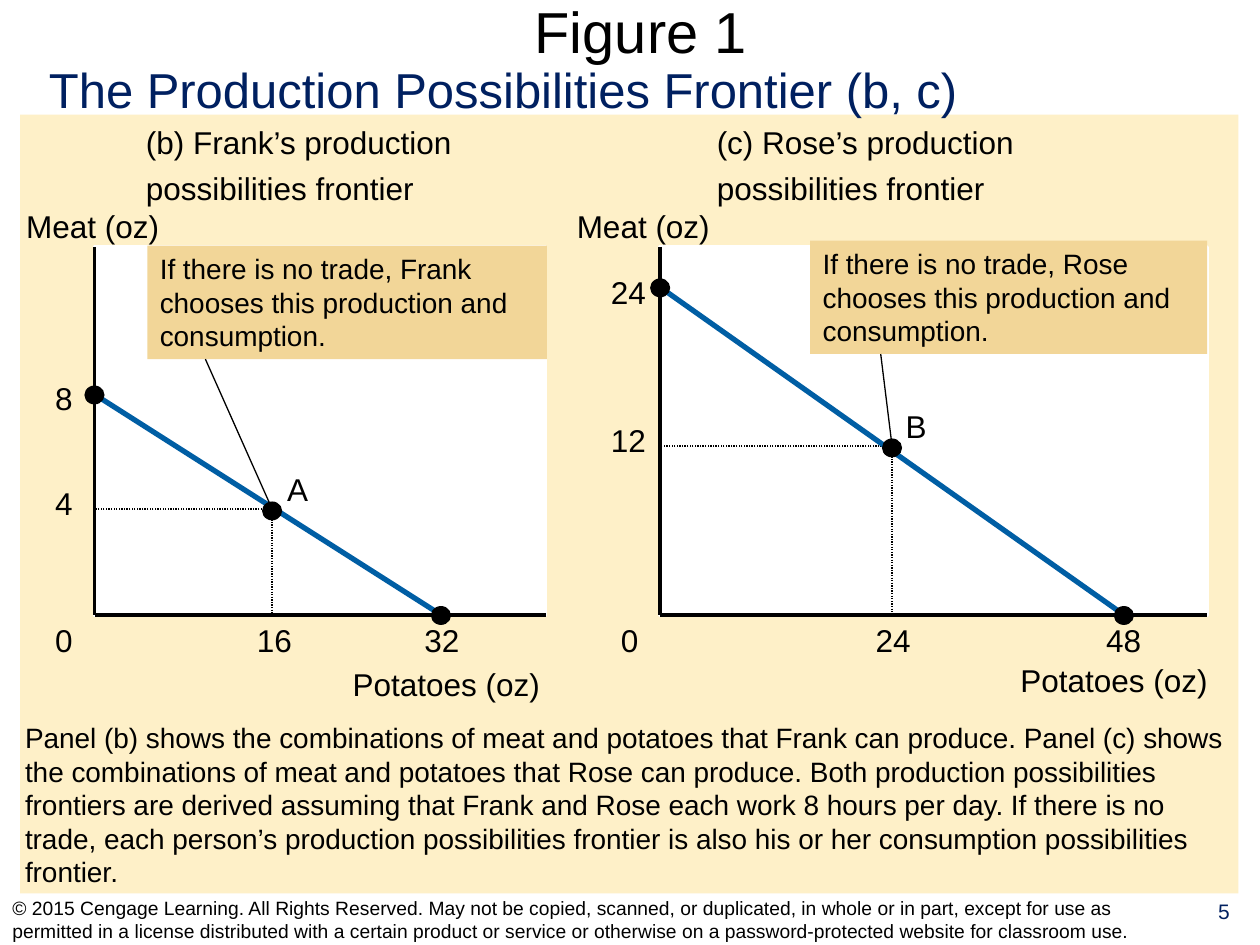
from pptx import Presentation
from pptx.dml.color import RGBColor as RGB
from pptx.enum.dml import MSO_LINE
from pptx.enum.shapes import MSO_CONNECTOR, MSO_SHAPE as SHAPE
from pptx.enum.text import MSO_ANCHOR as ANCHOR, PP_ALIGN as ALIGN
from pptx.oxml.ns import qn
from pptx.util import Pt
from lxml import etree

PX = 9144  # EMU in one px, 100 px to the inch
COLORS = {
    "black": "000000", "white": "FFFFFF", "navy": "002060",
    "blue": "005EA4", "cream": "FEF0C8", "sand": "F2D698",
}
FRAME = {
    "margin_left": 10 * PX, "margin_right": 10 * PX,
    "margin_top": 5 * PX, "margin_bottom": 5 * PX,
}

prs = Presentation()
prs.slide_width, prs.slide_height = 1000 * PX, 750 * PX
s = prs.slides.add_slide(prs.slide_layouts[6])


def add_box(box, text="", size=18, color="black", fill=None, kind=SHAPE.RECTANGLE,
            wrap=False, anchor=ANCHOR.TOP, align=ALIGN.LEFT):
    """Add a filled shape, or a text box when there is no fill; box is x, y, w, h in px."""
    emu = [v * PX for v in box]
    if fill:
        sp = s.shapes.add_shape(kind, *emu)
        sp.shadow.inherit = False
        sp.fill.solid()
        sp.fill.fore_color.rgb = RGB.from_string(COLORS[fill])
        sp.line.fill.background()
    else:
        sp = s.shapes.add_textbox(*emu)
    if not text:
        return sp
    tf = sp.text_frame
    for name, value in {**FRAME, "word_wrap": wrap, "vertical_anchor": anchor}.items():
        setattr(tf, name, value)
    for i, line in enumerate(text.split("\n")):
        p = tf.add_paragraph() if i else tf.paragraphs[0]
        if i:
            p.space_before = Pt(4.5)
        p.alignment = align
        r = p.add_run()
        r.text = line
        for name, value in {"name": "Arial", "size": Pt(size)}.items():
            setattr(r.font, name, value)
        r.font.color.rgb = RGB.from_string(COLORS[color])
    return sp


def add_line(start, end, width, color="black", dash=None):
    ln = s.shapes.add_connector(MSO_CONNECTOR.STRAIGHT, *[v * PX for v in (*start, *end)])
    etree.SubElement(ln._element.spPr, qn("a:effectLst"))
    ln.line.color.rgb = RGB.from_string(COLORS[color])
    ln.line.width = Pt(width)
    if dash:
        ln.line.dash_style = dash


add_box((16, 91, 967, 618), fill="cream")
add_box((35, 0, 947, 49), "Figure 1", 33, wrap=True, anchor=ANCHOR.MIDDLE, align=ALIGN.CENTER)
add_box((29, 42, 760, 57), "The Production Possibilities Frontier (b, c)", 28, "navy")
add_box((10, 567, 981, 144),
        "Panel (b) shows the combinations of meat and potatoes that Frank can produce. "
        "Panel (c) shows the combinations of meat and potatoes that Rose can produce. "
        "Both production possibilities frontiers are derived assuming that Frank and Rose "
        "each work 8 hours per day. If there is no trade, each person’s production "
        "possibilities frontier is also his or her consumption possibilities frontier.",
        16, wrap=True)

TOP, BASE = 196, 488  # ends of both meat axes
panels = [
    {
        "person": "Frank", "heading": ("(b)", 106), "axis_x": 75, "right": 433,
        "meat": 313, "potatoes": 350, "choice": (216, 405), "guide_y": 404,
        "callout": (117, 195, 317, 90), "callout_foot": (163, 285),
        "labels": [
            ("Meat (oz)", 11, 159, 140), ("0", 34, BASE, 34), ("4", 34, 379, 34),
            ("8", 34, 296, 34), ("Potatoes (oz)", 270, 523, 185),
            ("16", 194, BASE, 48), ("32", 327, BASE, 48), ("A", 218, 368, 36),
        ],
    },
    {
        "person": "Rose", "heading": ("(c)", 559), "axis_x": 524, "right": 958,
        "meat": 228, "potatoes": 892, "choice": (708, 355), "guide_y": 354,
        "callout": (643, 191, 315, 90), "callout_foot": (699, 281),
        "labels": [
            ("Meat (oz)", 448, 159, 140), ("0", 483, BASE, 34), ("12", 475, 329, 48),
            ("24", 475, 212, 48), ("Potatoes (oz)", 800, 520, 185),
            ("24", 685, BASE, 48), ("48", 868, BASE, 48), ("B", 709, 318, 36),
        ],
    },
]

for panel in panels:
    person, x, right = panel["person"], panel["axis_x"], panel["right"]
    choice_x, guide_y = panel["choice"][0], panel["guide_y"]

    plot = add_box((x, TOP, right - x, BASE - TOP), fill="white")
    plot.line.color.rgb = RGB.from_string(COLORS["white"])
    plot.line.width = Pt(2)

    letter, heading_x = panel["heading"]
    add_box((heading_x, 93, 285, 77),
            f"{letter} {person}’s production\npossibilities frontier")

    add_line((x, TOP), (x, BASE), 2.25)
    add_line((x, BASE), (right, BASE), 2.25)
    for end in ((x, guide_y), (choice_x, BASE)):
        add_line((choice_x, guide_y), end, 0.75, dash=MSO_LINE.ROUND_DOT)

    ends = [(x, panel["meat"]), (panel["potatoes"], BASE)]
    add_line(*ends, 3, "blue")
    for dot_x, dot_y in [*ends, panel["choice"]]:
        add_box((dot_x - 8, dot_y - 7, 16, 15), fill="black", kind=SHAPE.OVAL)

    for text, label_x, label_y, label_w in panel["labels"]:
        add_box((label_x, label_y, label_w, 40), text)

    add_box(panel["callout"],
            f"If there is no trade, {person} chooses this production and consumption.",
            16, fill="sand", wrap=True)
    add_line((choice_x, guide_y), panel["callout_foot"], 0.75)

add_box((0, 710, 942, 40),
        "© 2015 Cengage Learning. All Rights Reserved. May not be copied, scanned, or "
        "duplicated, in whole or in part, except for use as permitted in a license "
        "distributed with a certain product or service or otherwise on a "
        "password-protected website for classroom use.",
        11, wrap=True, anchor=ANCHOR.MIDDLE)
add_box((943, 708, 57, 41), "5", 12, "navy", wrap=True, align=ALIGN.CENTER)

prs.save("out.pptx")
